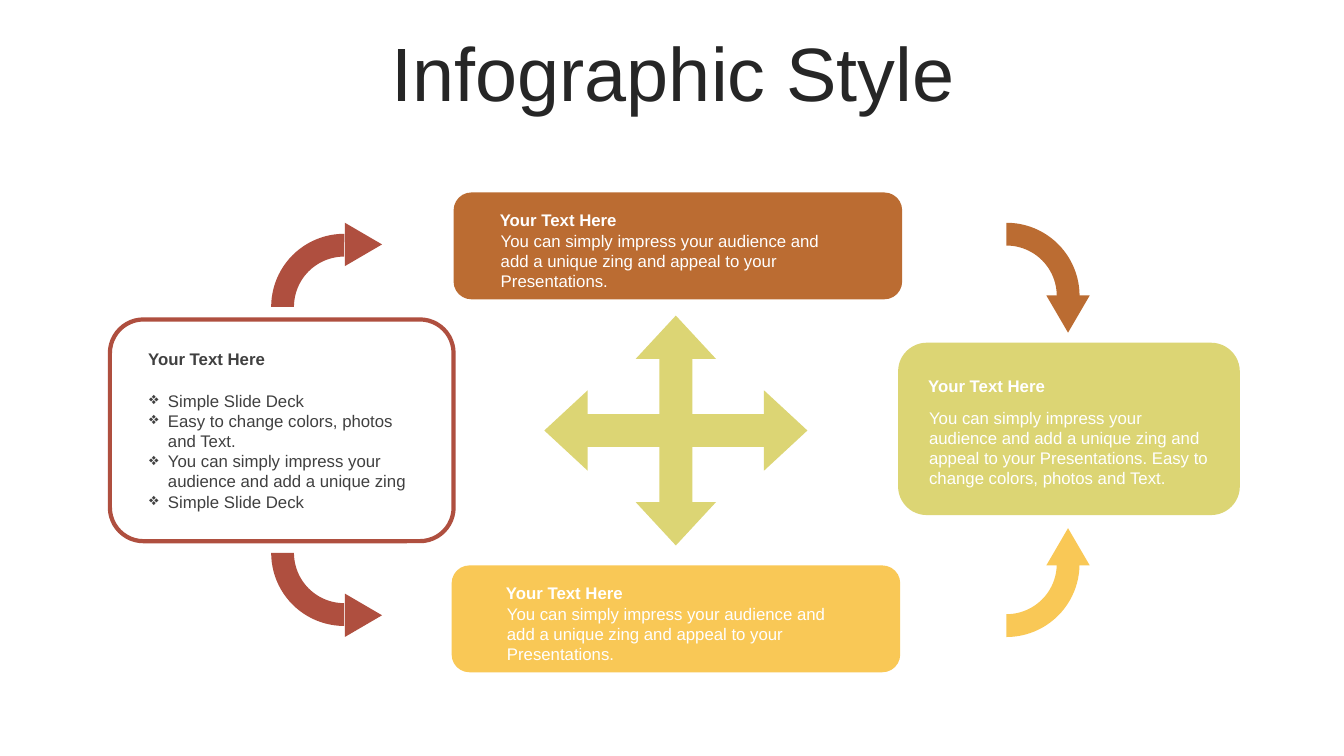
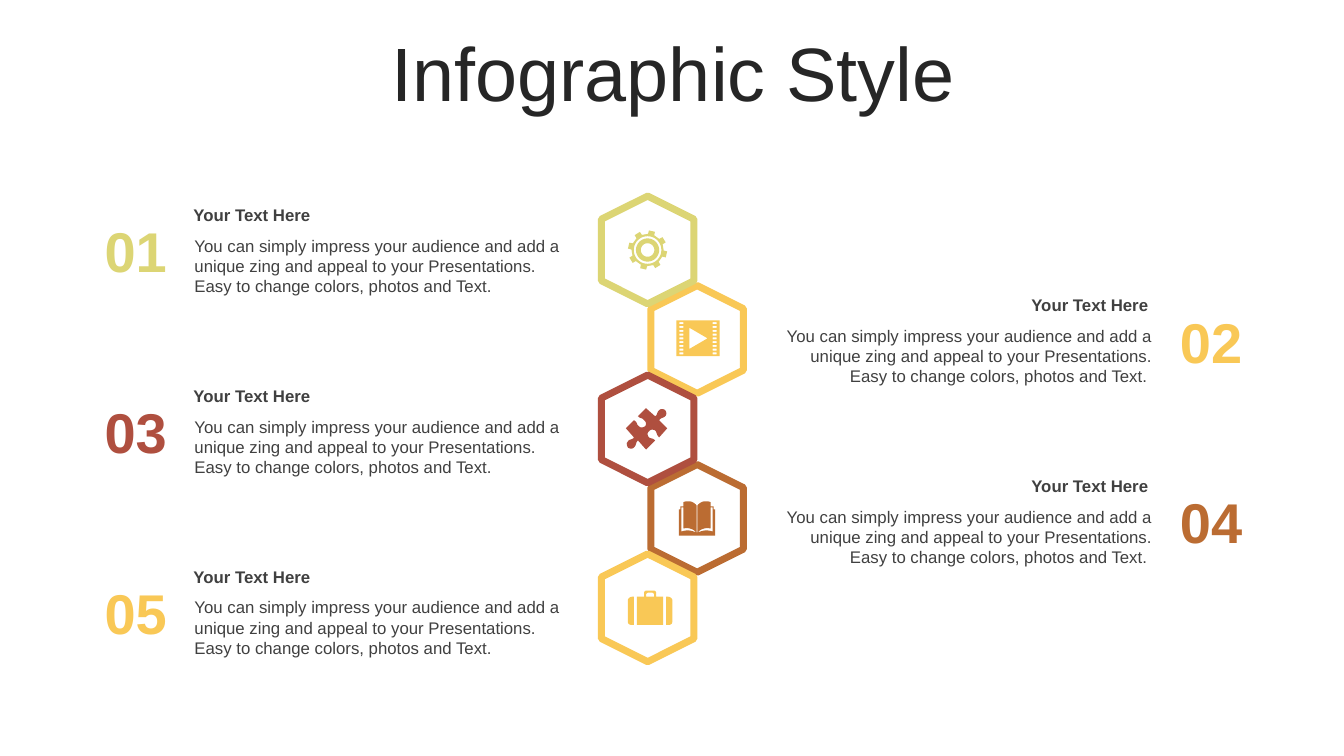
from dataclasses import dataclass
from math import cos, pi, sin

from lxml.etree import SubElement as Sub
from pptx import Presentation as Deck
from pptx.dml.color import RGBColor as Rgb
from pptx.enum.shapes import MSO_SHAPE as Form
from pptx.enum.text import MSO_ANCHOR as Anchor, PP_ALIGN as Align
from pptx.oxml.ns import qn
from pptx.util import Pt


@dataclass(frozen=True)
class Theme:
    font: str = "Arial"
    ink: str = "262626"
    gray: str = "404040"
    white: str = "FFFFFF"
    lime: str = "DCD574"
    gold: str = "F9C856"
    brick: str = "AF4F3F"
    rust: str = "BB6C32"
    title: int = 54
    number: int = 40
    body: int = 12


THEME = Theme()
HEAD = "Your Text Here"
SHORT = ("You can simply impress your audience and add a unique zing "
         "and appeal to your Presentations.")
LONG = SHORT + " Easy to change colors, photos and Text."
LIST = [
    "Simple Slide Deck",
    "Easy to change colors, photos and Text.",
    "You can simply impress your audience and add a unique zing",
    "Simple Slide Deck",
]
GRAIN = 100

PUZZLE = [[
    (18, -19), (19, -18, 20, -15, 18, -13), (16, -11, 14, -12, 12, -9),
    (20, -1), (12, 8), (9, 5, 10, 3, 8, 1), (6, 0, 3, 0, 2, 2),
    (0, 3, 0, 6, 2, 8), (5, 10, 5, 8, 8, 11), (-1, 20), (-9, 11),
    (-12, 14, -10, 15, -13, 18), (-15, 20, -18, 19, -19, 18),
    (-20, 16, -21, 14, -19, 12), (-17, 9, -15, 11, -13, 8),
    (-21, -1), (-13, -9), (-9, -7, -11, -5, -8, -3),
    (-6, -1, -4, -2, -2, -3), (-1, -4, 0, -7, -3, -9),
    (-5, -12, -6, -10, -9, -13), (-1, -21), (8, -13),
    (11, -15, 9, -16, 12, -19), (14, -21, 17, -20, 18, -19),
]]
PAGE = [
    [(0.5, -13), (3, -16, 6, -17, 8.5, -17), (10, -17, 12, -17, 13.5, -16),
     (13.5, -12), (16.5, -12), (16.5, -9), (18, -9), (18, 17), (0, 17),
     (0, 14), (0.5, 14)],
    [(0.5, 14), (6, 12, 9, 11, 15.5, 13), (15.5, -11), (13.5, -11),
     (13.5, 10), (9, 9, 4, 10, 0.5, 14)],
]
CASE = [
    [(0, -17), (4, -17), (5, -17, 6, -16, 6, -15), (6, -11), (13, -11),
     (13, 17), (0, 17), (0, -11), (4, -11), (4, -13),
     (4, -14, 3, -15, 2, -15), (0, -15)],
    [(16, -11), (18, -11), (20, -11, 22, -9, 22, -8), (22, 14),
     (22, 16, 20, 17, 18, 17), (16, 17)],
]


def write(frame, text, size=THEME.body, color=THEME.gray, bold=False,
          align=Align.LEFT, anchor=Anchor.TOP, space=None, bullet=None):
    frame.word_wrap = True
    frame.vertical_anchor = anchor
    for i, line in enumerate([text] if isinstance(text, str) else text):
        para = frame.add_paragraph() if i else frame.paragraphs[0]
        para.alignment = align
        if space:
            para.line_spacing = space
        if bullet:
            props = para._p.get_or_add_pPr()
            props.set("marL", str(Pt(13.5)))
            props.set("indent", str(-Pt(13.5)))
            Sub(props, qn("a:buChar")).set("char", bullet)
        run = para.add_run()
        run.text = line
        font = run.font
        font.name, font.size, font.bold = THEME.font, Pt(size), bold
        font.color.rgb = Rgb.from_string(color)


def label(slide, x, y, w, h, text, **style):
    box = slide.shapes.add_textbox(Pt(x), Pt(y), Pt(w), Pt(h))
    write(box.text_frame, text, **style)


def note(slide, x, y, w, h, text, gap=22, bullet=None, **style):
    label(slide, x - 0.7, y, w - 2.1, 21.6, HEAD, bold=True, **style)
    label(slide, x, y + gap, w, h, text, bullet=bullet, **style)


def paint(shape, fill=None, line=None, width=1):
    shape.shadow.inherit = False
    if fill:
        shape.fill.solid()
        shape.fill.fore_color.rgb = Rgb.from_string(fill)
    else:
        shape.fill.background()
    if line:
        shape.line.color.rgb = Rgb.from_string(line)
        shape.line.width = Pt(width)
    else:
        shape.line.fill.background()


def draw(slide, form, x, y, w, h, turn=0, tune=(), **style):
    shape = slide.shapes.add_shape(form, Pt(x), Pt(y), Pt(w), Pt(h))
    shape.rotation = turn
    for i, value in enumerate(tune):
        shape.adjustments[i] = value
    paint(shape, **style)


def bend(slide, x, y, turn, tip_x, tip_y, tip_turn, color):
    draw(slide, Form.BLOCK_ARC, x, y, 104.4, 104.4, turn=turn,
         tune=(108, 162, 0.156), fill=color)
    draw(slide, Form.ISOSCELES_TRIANGLE, tip_x, tip_y, 31, 26.6,
         turn=tip_turn, fill=color)


def trace(path, steps=8):
    points = []
    for node in path:
        if len(node) == 2:
            points.append(node)
            continue
        ax, ay = points[-1]
        bx, by, cx, cy, dx, dy = node
        for i in range(1, steps + 1):
            t = i / steps
            u = 1 - t
            a, b, c, d = u ** 3, 3 * u * u * t, 3 * u * t * t, t ** 3
            points.append((a * ax + b * bx + c * cx + d * dx,
                           a * ay + b * by + c * cy + d * dy))
    return [(x * GRAIN, y * GRAIN) for x, y in points]


def icon(slide, x, y, paths, color):
    first, *rest = [trace(path) for path in paths]
    pen = slide.shapes.build_freeform(*first[0], scale=Pt(0.72) / GRAIN)
    pen.add_line_segments(first[1:], close=True)
    for points in rest:
        pen.move_to(*points[0])
        pen.add_line_segments(points[1:], close=True)
    paint(pen.convert_to_shape(Pt(x), Pt(y)), fill=color)


def polar(radius, angle):
    return radius * sin(angle), -radius * cos(angle)


def ring(radius, count=48):
    return [polar(radius, 2 * pi * i / count) for i in range(count)]


def gear(teeth=8):
    step = 2 * pi / teeth
    edge = [polar(radius, step * (i + 0.29 + part))
            for i in range(teeth)
            for radius, part in ((16, -0.25), (19.5, -0.2),
                                 (19.5, 0.2), (16, 0.25))]
    return [edge, ring(13.7), ring(11.5), ring(6.7)]


def rect(x, y, w, h):
    return [(x, y), (x + w, y), (x + w, y + h), (x, y + h)]


def film():
    holes = [rect(x, 3.75 * i - 1, 4, 2)
             for x in (-18.5, 14.5) for i in range(-4, 5)]
    play = [(-8.5, -10.5), (-8.5, 10.5), (9.5, 0)]
    return [rect(-21.5, -17.75, 43, 35.5), play, *holes]


def mirror(paths):
    return paths + [[tuple(-v if i % 2 == 0 else v
                           for i, v in enumerate(node))
                     for node in path] for path in paths]


def page(deck):
    slide = deck.slides.add_slide(deck.slide_layouts[5])
    title = slide.shapes.title
    title.left, title.top = Pt(25.2), Pt(26.6)
    title.width, title.height = Pt(911.5), Pt(56.9)
    write(title.text_frame, "Infographic Style", size=THEME.title,
          color=THEME.ink, align=Align.CENTER, anchor=Anchor.MIDDLE,
          space=0.9)
    return slide


def cycle(deck):
    slide = page(deck)
    card = Form.ROUNDED_RECTANGLE
    mid = Anchor.MIDDLE
    draw(slide, card, 78.5, 228.2, 245.5, 158.4, tune=(0.152,),
         line=THEME.brick, width=3)
    note(slide, 99.4, 245.5, 205.2, 94.3, LIST, gap=29.5, bullet="❖",
         anchor=mid)
    draw(slide, Form.QUAD_ARROW, 388.8, 225.4, 187.9, 164.2,
         tune=(0.143, 0.175, 0.189), fill=THEME.lime)
    draw(slide, card, 641.5, 244.8, 244.1, 123.1, fill=THEME.lime)
    note(slide, 656.6, 265, 218.2, 65.5, LONG, color=THEME.white, anchor=mid)
    for x, y, inset, color in ((324, 137.5, 26.6, THEME.rust),
                               (322.6, 403.9, 32.4, THEME.gold)):
        draw(slide, card, x, y, 320.4, 76.3, fill=color)
        note(slide, x + inset, y + 9, 265, 36, SHORT, color=THEME.white,
             anchor=mid)
    for arrow in ((193.7, 167, 0, 244.1, 161.3, 90, THEME.brick),
                  (193.7, 342.7, 270, 244.1, 426.2, 90, THEME.brick),
                  (666.7, 350.6, 180, 747.4, 377.3, 0, THEME.gold),
                  (666.7, 159.1, 90, 747.4, 211, 180, THEME.rust)):
        bend(slide, *arrow)


def chain(deck):
    slide = page(deck)
    steps = (
        (THEME.lime, gear(), 0, 0),
        (THEME.gold, film(), 0.7, -0.8),
        (THEME.brick, PUZZLE, -0.4, 0.3),
        (THEME.rust, mirror(PAGE), 0, 0),
        (THEME.gold, mirror(CASE), 1.8, 0),
    )
    spots = [(497.9 if i % 2 else 462.6, 178.6 + 63.9 * i)
             for i in range(len(steps))]
    for i in (3, 1, 2, 0, 4):
        x, y = spots[i]
        draw(slide, Form.HEXAGON, x - 38.5, y - 33.1, 77, 66.2, turn=90,
             fill=THEME.white, line=steps[i][0], width=5)
    for i, (color, paths, dx, dy) in enumerate(steps):
        x, y = spots[i]
        icon(slide, x + dx, y + dy, paths, color)
        top = 142.6 + 64.6 * i
        label(slide, 835.2 if i % 2 else 67, top + 8.6, 59.8, 55.4,
              f"{i + 1:02}", size=THEME.number, color=color, bold=True,
              align=Align.CENTER)
        if i % 2:
            note(slide, 545, top, 285.1, 51, LONG + " ", align=Align.RIGHT)
        else:
            note(slide, 131.8, top, 286.6, 51, LONG)


def main():
    deck = Deck()
    deck.slide_width, deck.slide_height = Pt(960), Pt(540)
    cycle(deck)
    chain(deck)
    deck.save("out.pptx")


if __name__ == "__main__":
    main()
